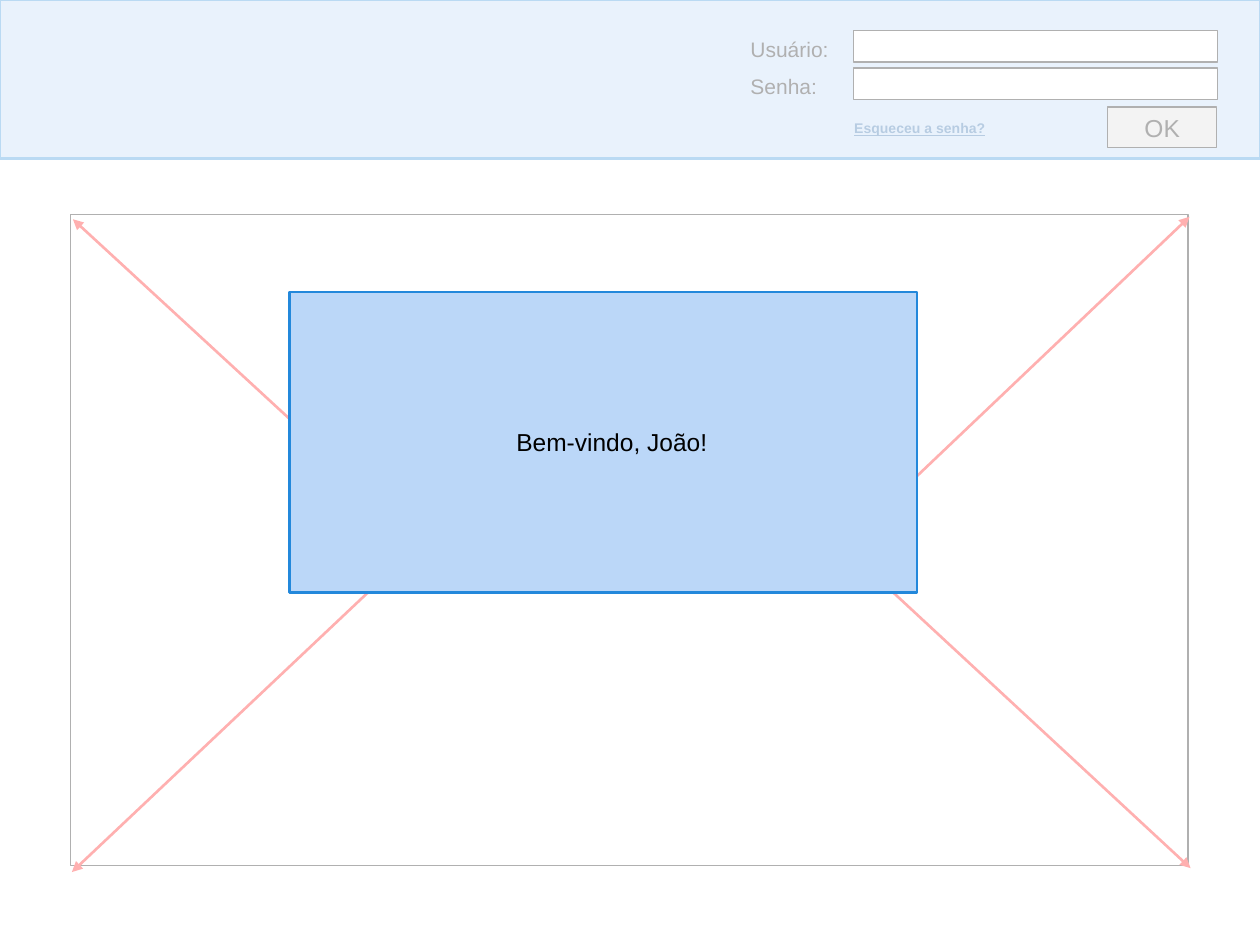
from pptx import Presentation
from pptx import util as u
from pptx.dml.color import RGBColor
from pptx.enum import shapes, text
from pptx.oxml.ns import qn
from lxml import etree

# Content (lengths in cm)
LOGIN_FIELDS = ["Usuário:", "Senha:"]
FORGOT_LINK = "Esqueceu a senha?"
BUTTON_LABEL = "OK"
WELCOME = "Bem-vindo, João!"
PAGE = (0, 0, 25.4, 19.05)
HEADER = (0, 0, 25.4, 3.2)
CONTENT_AREA = (1.42, 4.32, 22.53, 13.13)
DIALOG = (5.84, 5.89, 12.65, 6.05)
RESIZE_ARROWS = [  # from inner point to corner
    ((7.7, 10.16), (1.47, 4.42)),
    ((17.63, 10.41), (23.98, 4.37)),
    ((17.7, 11.66), (24, 17.5)),
    ((7.75, 11.63), (1.45, 17.58)),
]

THEME = {
    "font": "Arial", "ink": "000000", "paper": "FFFFFF", "panel": "BBD7F8",
    "edge": "2388DB", "button": "D9D9D9", "arrow": "FF0000", "link": "185DA2",
    "thin": 0.75, "thick": 1.5, "veil": 69,
    "small": 8, "body": 12, "large": 14,
}


def color(name):
    return RGBColor.from_string(THEME[name])


def cm(values):
    return [u.Cm(value) for value in values]


def add_box(parent, area, fill=None, line=None, width="thin"):
    box = parent.add_shape(shapes.MSO_SHAPE.RECTANGLE, *cm(area))
    box.shadow.inherit = False
    if fill:
        box.fill.solid()
        box.fill.fore_color.rgb = color(fill)
    else:
        box.fill.background()
    if line:
        box.line.color.rgb = color(line)
        box.line.width = u.Pt(THEME[width])
    else:
        box.line.fill.background()
    return box


def write(shape, words, size, ink="ink", centered=False):
    frame = shape.text_frame
    frame.text = words
    frame.word_wrap = True
    frame.auto_size = text.MSO_AUTO_SIZE.NONE
    frame.margin_left = frame.margin_right = u.Cm(0.25)
    frame.margin_top = frame.margin_bottom = u.Cm(0.25)
    anchors = text.MSO_ANCHOR
    frame.vertical_anchor = anchors.MIDDLE if centered else anchors.TOP
    paragraph = frame.paragraphs[0]
    paragraph.alignment = text.PP_ALIGN.CENTER if centered else text.PP_ALIGN.LEFT
    paragraph.font.name = THEME["font"]
    paragraph.font.size = u.Pt(THEME[size])
    paragraph.font.color.rgb = color(ink)
    return paragraph


def add_arrow(parent, start, end):
    arrow = parent.add_connector(shapes.MSO_CONNECTOR.STRAIGHT, *cm(start + end))
    arrow.line.color.rgb = color("arrow")
    arrow.line.width = u.Pt(THEME["thick"])
    properties = arrow.element.spPr
    etree.SubElement(properties.find(qn("a:ln")), qn("a:tailEnd"), type="triangle")
    etree.SubElement(properties, qn("a:effectLst"))


def main():
    deck = Presentation()
    deck.slide_width, deck.slide_height = cm(PAGE[2:])
    slide = deck.slides.add_slide(deck.slide_layouts[5])
    canvas = slide.shapes

    # Header with login form
    add_box(canvas, HEADER, "panel", "edge", "thick")
    for row, label in enumerate(LOGIN_FIELDS):
        drop = row * 0.76
        field = canvas.add_group_shape().shapes
        write(field.add_textbox(*cm((14.88, 0.48 + drop, 2.31, 0.81))), label, "body")
        add_box(field, (17.2, 0.61 + drop, 7.34, 0.64), "paper", "ink")
    forgot = canvas.add_textbox(*cm((16.97, 2.16, 3.53, 0.81)))
    forgot_line = write(forgot, FORGOT_LINK, "small", "link")
    forgot_line.font.bold = forgot_line.font.underline = True
    button = add_box(canvas, (22.33, 2.16, 2.2, 0.82), "button", "ink")
    write(button, BUTTON_LABEL, "large", centered=True)

    # Content area with arrows to its corners
    add_box(canvas, CONTENT_AREA, line="ink")
    for start, end in RESIZE_ARROWS:
        add_arrow(canvas, start, end)

    # Translucent veil over the page
    veil = add_box(canvas, PAGE, "paper")
    veil_color = veil.element.spPr.find(qn("a:solidFill"))[0]
    etree.SubElement(veil_color, qn("a:alpha"), val=str(THEME["veil"] * 1000))

    # Welcome dialog, with the title brought to the front
    add_box(canvas, DIALOG, "panel", "edge", "thick")
    welcome = canvas.title
    welcome.left, welcome.top, welcome.width, welcome.height = cm((7.7, 8.13, 9.27, 1.55))
    write(welcome, WELCOME, "large", centered=True)
    welcome.element.getparent().append(welcome.element)

    deck.save("out.pptx")


if __name__ == "__main__":
    main()
